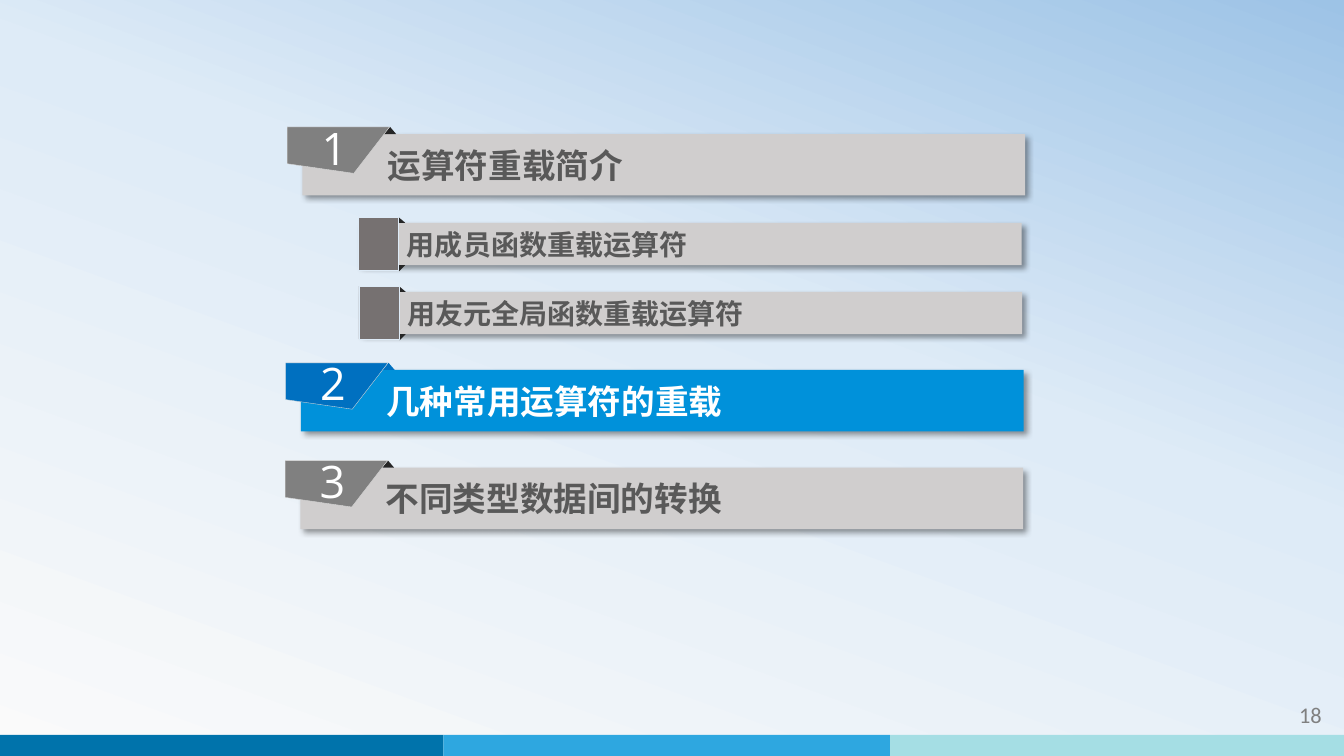
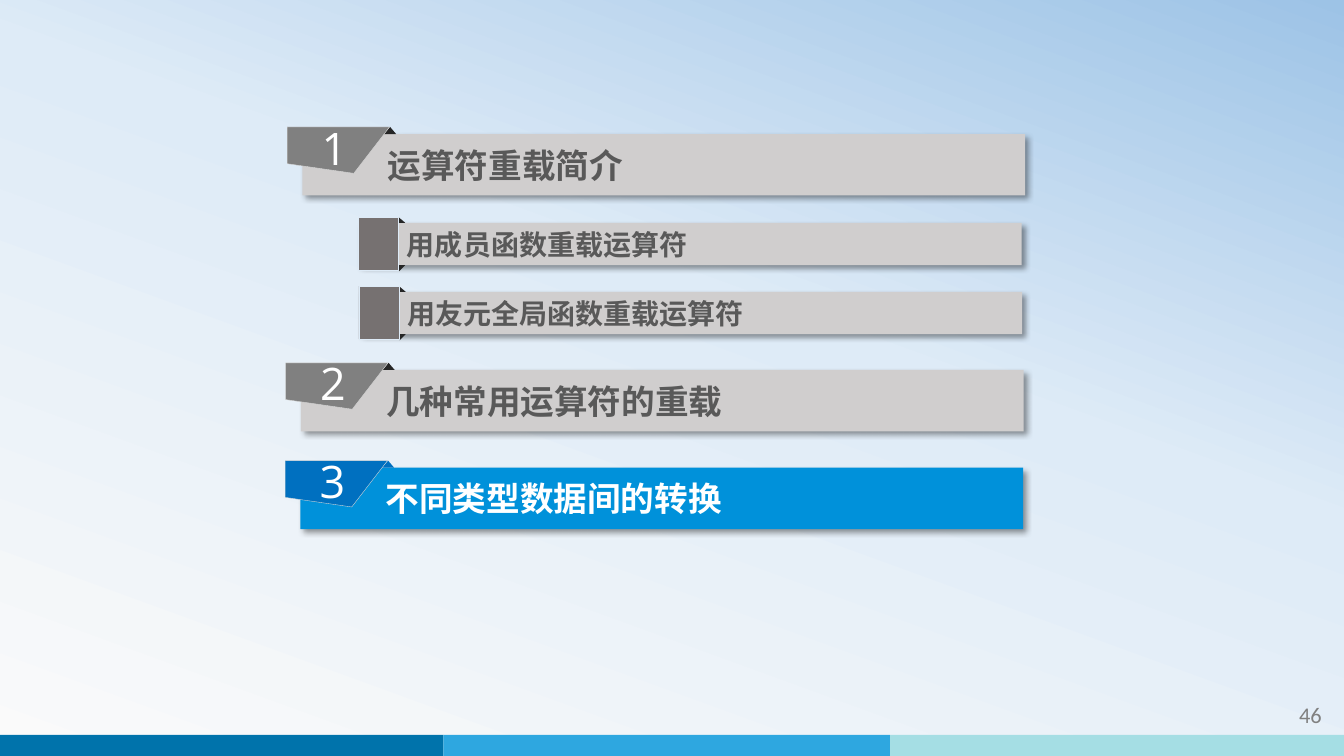
from copy import deepcopy
from dataclasses import dataclass

from lxml import etree
from pptx import Presentation
from pptx.dml.color import RGBColor
from pptx.enum.shapes import MSO_SHAPE
from pptx.enum.text import MSO_ANCHOR, PP_ALIGN
from pptx.oxml.ns import qn
from pptx.shapes.autoshape import Shape
from pptx.slide import Slide
from pptx.util import Inches, Pt

RECT = MSO_SHAPE.RECTANGLE
PEAK = MSO_SHAPE.ISOSCELES_TRIANGLE
TOP, MIDDLE = MSO_ANCHOR.TOP, MSO_ANCHOR.MIDDLE
LEFT, CENTER, RIGHT = PP_ALIGN.LEFT, PP_ALIGN.CENTER, PP_ALIGN.RIGHT

CELL = Inches(0.1)
COLS, ROWS = 133.33, 75
FONTS = {"body": "Noto Sans CJK SC", "digit": "Open Sans", "page": "Calibri"}
COLORS = {
    "bar": "D0CECE", "ink": "595959", "tab": "808080", "fold": "262626",
    "live": "0091DA", "deep": "0070C0", "white": "FFFFFF",
    "edge": "D9D9D9", "block": "767171", "rim": "DEEBF7",
    "band1": "0073AB", "band2": "2EA7E0", "band3": "A5DEE4",
    "sky1": "FAFAFA", "sky2": "DEEBF7", "sky3": "9DC3E6",
}
SKY = (("sky1", 0), ("sky2", 0.58), ("sky3", 1))
BANDS = (("band1", 0, 44), ("band2", 44, 88.3), ("band3", 88.3, COLS))


@dataclass(frozen=True)
class Item:
    text: str
    left: float
    top: float


@dataclass(frozen=True)
class Look:
    bar: str
    ink: str
    tab: str
    fold: str


@dataclass(frozen=True)
class Type:
    font: str
    size: int
    color: str
    bold: bool = False
    align: PP_ALIGN = LEFT


@dataclass(frozen=True)
class Page:
    number: str
    live: int


HEADS = (
    Item("运算符重载简介", 30, 13.3),
    Item("几种常用运算符的重载", 29.85, 36.7),
    Item("不同类型数据间的转换", 29.8, 46.4),
)
SUBS = (
    Item("用成员函数重载运算符", 35.65, 22.1),
    Item("用友元全局函数重载运算符", 35.7, 28.95),
)
PLAIN = Look("bar", "ink", "tab", "fold")
LIVE = Look("live", "white", "deep", "deep")
PAGES = (Page("18", 2), Page("46", 3))


def grid(*cells: float) -> list[int]:
    return [round(cell * CELL) for cell in cells]


def tint(name: str) -> RGBColor:
    return RGBColor.from_string(COLORS[name])


def paint(shape: Shape, fill: str, line: str = "") -> Shape:
    shape.shadow.inherit = False
    shape.fill.solid()
    shape.fill.fore_color.rgb = tint(fill)
    if line:
        shape.line.color.rgb = tint(line)
        shape.line.width = Pt(0.25)
    else:
        shape.line.fill.background()
    return shape


def block(slide: Slide, kind: MSO_SHAPE, box: tuple, fill: str, line: str = "") -> Shape:
    return paint(slide.shapes.add_shape(kind, *grid(*box)), fill, line)


def shade(shape: Shape) -> None:
    effects = shape.element.spPr.find(qn("a:effectLst"))
    outer = etree.SubElement(
        effects, qn("a:outerShdw"), blurRad=str(Pt(4)), dist=str(Pt(3)),
        dir="2700000", algn="tl", rotWithShape="0")
    color = etree.SubElement(outer, qn("a:srgbClr"), val="000000")
    etree.SubElement(color, qn("a:alpha"), val="40000")


def write(shape: Shape, text: str, style: Type, inset: tuple, anchor: MSO_ANCHOR) -> None:
    frame = shape.text_frame
    frame.word_wrap = True
    frame.vertical_anchor = anchor
    (frame.margin_left, frame.margin_top,
     frame.margin_right, frame.margin_bottom) = grid(*inset)
    para = frame.paragraphs[0]
    para.alignment = style.align
    run = para.add_run()
    run.text = text
    font = run.font
    font.size, font.bold, font.name = Pt(style.size), style.bold, FONTS[style.font]
    font.color.rgb = tint(style.color)
    etree.SubElement(run._r.get_or_add_rPr(), qn("a:ea"), typeface=FONTS[style.font])


def bar(slide: Slide, item: Item, size: tuple, look: Look, points: int, indent: float) -> None:
    shape = block(slide, RECT, (item.left, item.top, *size), look.bar)
    shade(shape)
    write(shape, item.text, Type("body", points, look.ink, True),
          (indent, 0.5, 1, 0.5), MIDDLE)


def head(slide: Slide, number: int, item: Item, look: Look) -> None:
    bar(slide, item, (71.7, 6.1), look, 24, 8.47)
    left, top = item.left - 1.5, item.top - 0.7
    block(slide, PEAK, (item.left + 8.1, top, 1.2, 0.7), look.fold)
    path = slide.shapes.build_freeform(*grid(left, top))
    path.add_line_segments([
        grid(left + x, top + y) for x, y in ((10.15, 0), (6.6, 4.6), (0, 3.65))])
    tab = paint(path.convert_to_shape(), look.tab, "edge")
    write(tab, str(number), Type("digit", 32, "white", align=CENTER),
          (0.9, 0.4, 1.7, 1), MIDDLE)


def sub(slide: Slide, item: Item) -> None:
    bar(slide, item, (65.7, 4.2), PLAIN, 20, 4.73)
    fold = item.left + 3.35
    block(slide, PEAK, (fold, item.top - 0.5, 1.2, 0.5), "fold")
    block(slide, PEAK, (fold, item.top + 4.2, 1.2, 0.6), "fold").rotation = 180
    block(slide, RECT, (item.left - 0.1, item.top - 0.55, 4, 5.25), "block", "rim")


def base(slide: Slide, number: str) -> None:
    fill = slide.background.fill
    fill.gradient()
    fill.gradient_angle = 70
    stops = slide.element.find(".//" + qn("a:gsLst"))
    stops.append(deepcopy(stops[0]))
    for stop, (color, place) in zip(fill.gradient_stops, SKY):
        stop.color.rgb = tint(color)
        stop.position = place
    for color, start, end in BANDS:
        block(slide, RECT, (start, 72.9, end - start, ROWS - 72.9), color)
    label = slide.shapes.add_textbox(*grid(116.2, 69.1, 15.9, 4))
    write(label, number, Type("page", 16, "tab", align=RIGHT), (1, 0.5, 1, 0.5), TOP)


def main() -> None:
    deck = Presentation()
    deck.slide_width, deck.slide_height = grid(COLS, ROWS)
    for page in PAGES:
        slide = deck.slides.add_slide(deck.slide_layouts[6])
        base(slide, page.number)
        for number, item in enumerate(HEADS, 1):
            head(slide, number, item, LIVE if number == page.live else PLAIN)
        for item in SUBS:
            sub(slide, item)
    deck.save("out.pptx")


if __name__ == "__main__":
    main()
